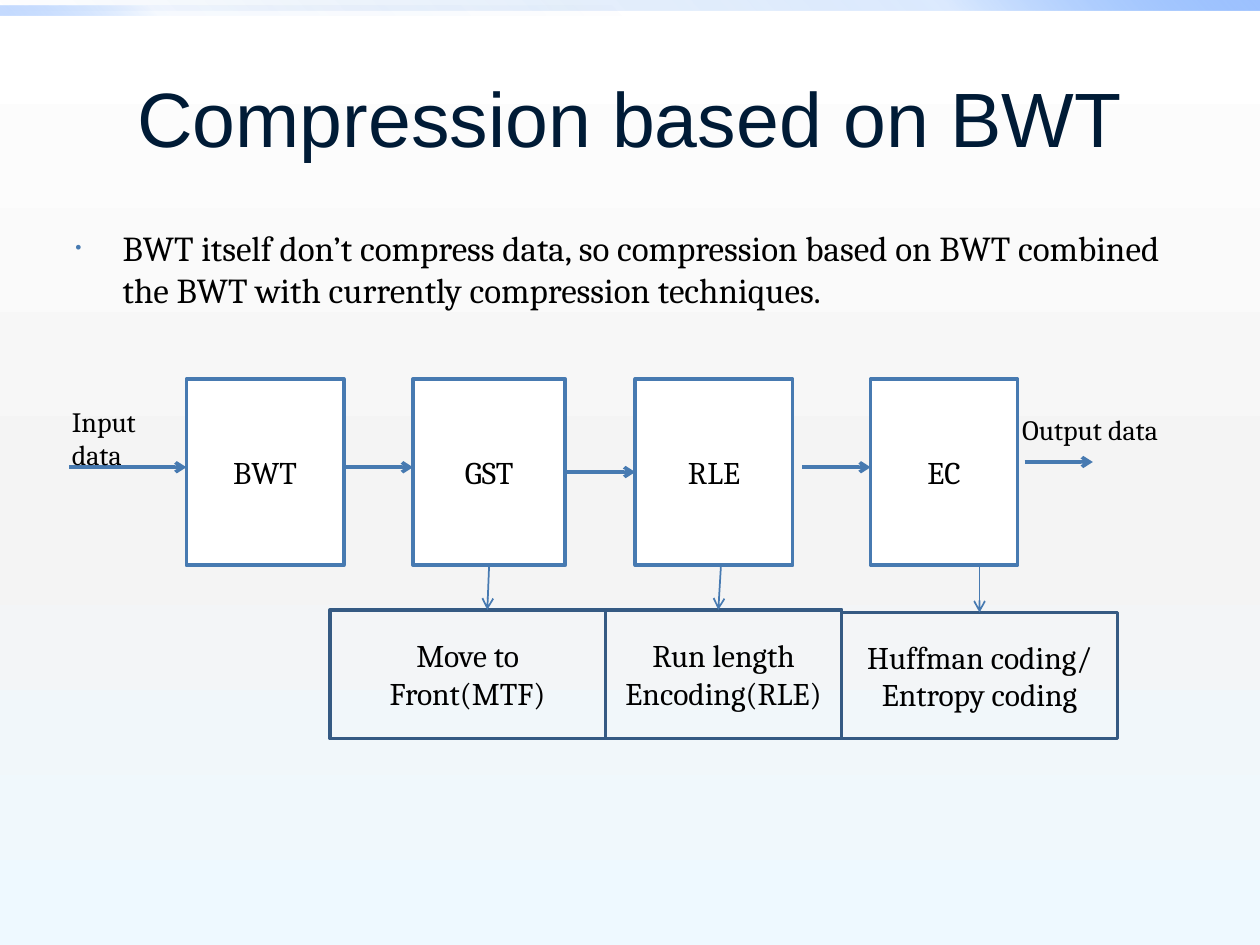
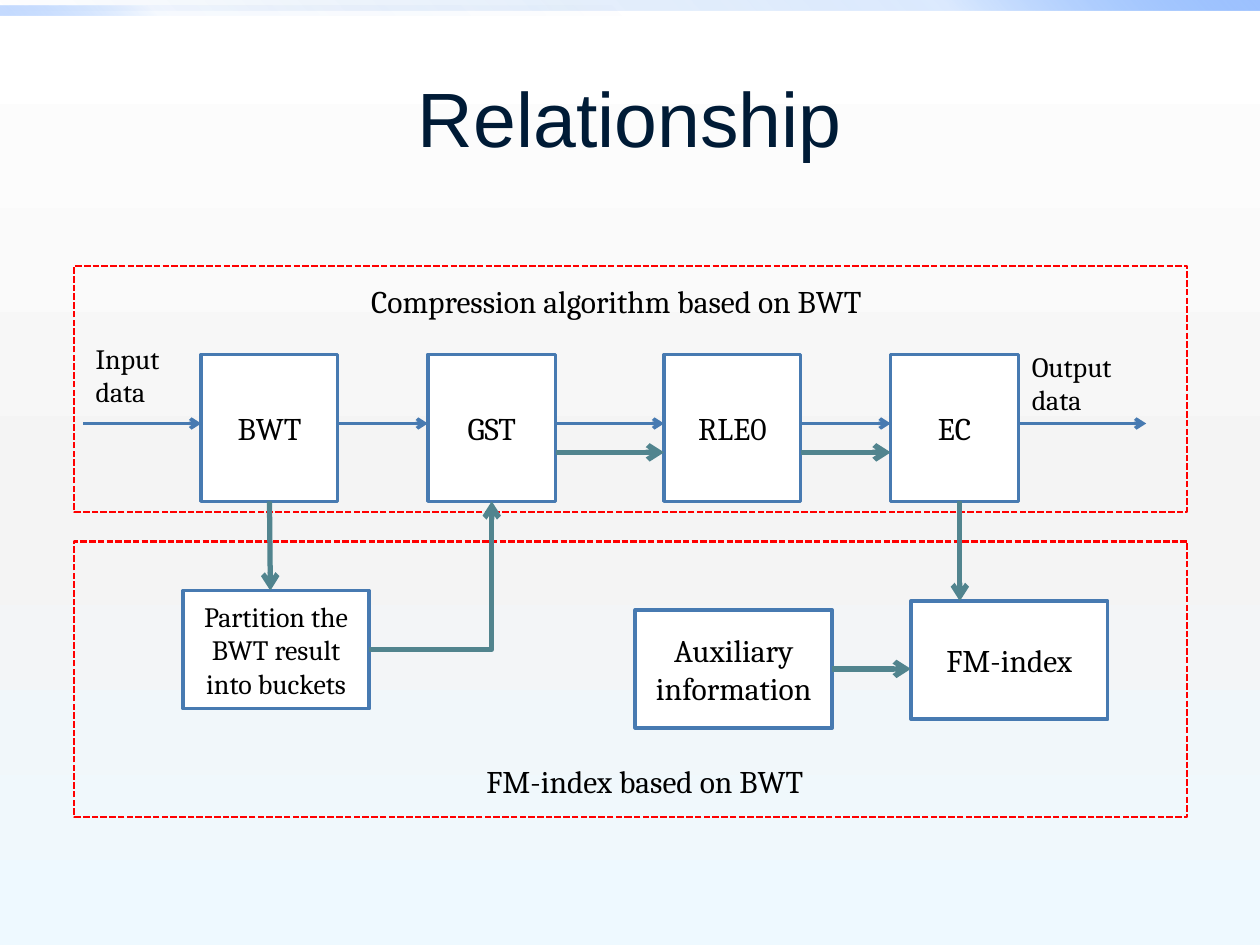
from collections import namedtuple

from lxml import etree
from pptx import Presentation
from pptx.dml.color import RGBColor
from pptx.enum.dml import MSO_LINE
from pptx.enum.shapes import MSO_CONNECTOR, MSO_SHAPE
from pptx.enum.text import MSO_ANCHOR, PP_ALIGN
from pptx.oxml.ns import qn
from pptx.util import Pt

RECTANGLE = MSO_SHAPE.RECTANGLE
STRAIGHT, ELBOW = MSO_CONNECTOR.STRAIGHT, MSO_CONNECTOR.ELBOW
SYS_DASH = MSO_LINE.SQUARE_DOT
LEFT, CENTER = PP_ALIGN.LEFT, PP_ALIGN.CENTER
TOP, MIDDLE = MSO_ANCHOR.TOP, MSO_ANCHOR.MIDDLE
TOP_SIDE, LEFT_SIDE, BOTTOM_SIDE, RIGHT_SIDE = range(4)

COLORS = {
    "title": "001B36",
    "text": "000000",
    "box": "FFFFFF",
    "blue": "477AB1",
    "navy": "355A83",
    "teal": "51848E",
    "frame": "FF0000",
}
# Gradient stops: position %, colour, opacity %
BACKGROUND = [(0, "FFFFFF", 100), (55, "F4F4F4", 100), (100, "EEF9FF", 100)]
TOP_BAND = [(0, "0058B7", 0), (75, "4F95FF", 20), (100, "9EC2FF", 100)]
LEFT_BAND = [(0, "0058B7", 0), (75, "4F95FF", 5), (100, "9EC2FF", 60)]

Box = namedtuple("Box", "left top width height")


def within(area, left, top, width, height):
    """Turn offsets inside an area into a box on the slide."""
    return Box(area.left + left, area.top + top, width, height)


def points(values):
    return [Pt(value) for value in values]


def rgb(name):
    return RGBColor.from_string(COLORS[name])


def apply(target, formats):
    for attribute, value in formats.items():
        setattr(target, attribute, value)


def set_gradient(parent, stops, angle):
    """Replace the default stops of the first gradient below parent."""
    gradient = next(parent.iter(qn("a:gradFill")))
    for child in list(gradient):
        gradient.remove(child)
    stop_list = etree.SubElement(gradient, qn("a:gsLst"))
    for position, color, opacity in stops:
        stop = etree.SubElement(stop_list, qn("a:gs"), pos=str(position * 1000))
        tone = etree.SubElement(stop, qn("a:srgbClr"), val=color)
        if opacity < 100:
            etree.SubElement(tone, qn("a:alpha"), val=str(opacity * 1000))
    etree.SubElement(gradient, qn("a:lin"), ang=str(angle * 60000), scaled="0")


def write(frame, lines, size, align=LEFT, anchor=TOP, font="Cambria", color="text"):
    apply(frame, {"word_wrap": True, "vertical_anchor": anchor})
    for index, line in enumerate(lines.split("\n")):
        paragraph = frame.add_paragraph() if index else frame.paragraphs[0]
        paragraph.alignment = align
        run = paragraph.add_run()
        run.text = line
        apply(run.font, {"size": Pt(size), "name": font})
        run.font.color.rgb = rgb(color)


def add_label(slide, box, text, size=18, **style):
    label = slide.shapes.add_textbox(*points(box))
    write(label.text_frame, text, size, **style)
    return label


def add_rectangle(slide, box, line=None, width=2, fill=None):
    rectangle = slide.shapes.add_shape(RECTANGLE, *points(box))
    rectangle.shadow.inherit = False
    if fill:
        rectangle.fill.solid()
        rectangle.fill.fore_color.rgb = rgb(fill)
    else:
        rectangle.fill.background()
    if line:
        rectangle.line.color.rgb = rgb(line)
        rectangle.line.width = Pt(width)
    else:
        rectangle.line.fill.background()
    return rectangle


def add_step(slide, box, text, size=18, line="blue", fill="box"):
    step = add_rectangle(slide, box, line, fill=fill)
    write(step.text_frame, text, size, CENTER, MIDDLE)
    return step


def add_frame(slide, box):
    add_rectangle(slide, box, "frame", 1.25).line.dash_style = SYS_DASH


def add_arrow(slide, start, end, color="blue", width=2, begin=None, finish=None,
              kind=STRAIGHT):
    """Draw an arrow; begin and finish are (shape, side) pairs to join."""
    arrow = slide.shapes.add_connector(kind, *points((*start, *end)))
    if begin:
        arrow.begin_connect(*begin)
    if finish:
        arrow.end_connect(*finish)
    arrow.line.color.rgb = rgb(color)
    arrow.line.width = Pt(width)
    etree.SubElement(arrow.line._get_or_add_ln(), qn("a:tailEnd"), type="arrow")
    etree.SubElement(arrow._element.spPr, qn("a:effectLst"))
    return arrow


def new_slide(deck, title):
    """Add a slide with the shared background, bands and title."""
    slide = deck.slides.add_slide(deck.slide_layouts[6])
    slide.background.fill.gradient()
    set_gradient(slide.element, BACKGROUND, 90)
    for box, stops, angle in (
        (Box(0, 0, 720, 6), TOP_BAND, 315),
        (Box(0, 3, 360, 6), LEFT_BAND, 135),
    ):
        band = add_rectangle(slide, box)
        band.fill.gradient()
        set_gradient(band._element, stops, angle)
    add_label(slide, Box(36, 22, 648, 89.5), title, 44, align=CENTER,
              anchor=MIDDLE, font="Arial", color="title")
    return slide


def add_bullet(slide, box, text):
    bullet = add_label(slide, box, text, 20)
    properties = bullet.text_frame.paragraphs[0]._p.get_or_add_pPr()
    apply_indent = {"marL": Pt(27), "indent": -Pt(27)}
    for name, value in apply_indent.items():
        properties.set(name, str(int(value)))
    color = etree.SubElement(properties, qn("a:buClr"))
    etree.SubElement(color, qn("a:srgbClr"), val=COLORS["blue"])
    etree.SubElement(properties, qn("a:buSzPct"), val="50000")
    etree.SubElement(properties, qn("a:buFont"), typeface="Arial")
    etree.SubElement(properties, qn("a:buChar"), char="•")


def add_stages(slide, area, stages):
    """Place (name, offset, width) steps side by side over the area's height."""
    return [
        add_step(slide, within(area, offset, 0, width, area.height), name)
        for name, offset, width in stages
    ]


def compression_chain(slide, area):
    stages = add_stages(slide, area, [
        ("BWT", 67, 90), ("GST", 196.5, 87), ("RLE", 323.5, 90), ("EC", 458, 84),
    ])
    gst, rle = stages[1:3]
    for start, end, drop in (
        (0, 67, 50.5), (157, 196.5, 50.5), (419, 458, 50.5), (546, 585, 47.5),
    ):
        y = area.top + drop
        add_arrow(slide, (area.left + start, y), (area.left + end, y))
    middle = area.top + area.height / 2
    add_arrow(slide, (area.left + 283.5, middle), (area.left + 323.5, middle),
              begin=(gst, RIGHT_SIDE), finish=(rle, LEFT_SIDE))
    add_label(slide, within(area, -5.5, 11, 67.5, 46), "Input data", 16)
    add_label(slide, within(area, 537.5, 15.5, 112.5, 26.5), "Output data", 16)
    return stages


def stage_techniques(slide, area, stages):
    """Name the technique below each stage and point to it."""
    gst = stages[1]
    techniques = [
        add_step(slide, within(area, offset, drop, width, area.height - drop), text,
                 line="navy", fill=None)
        for text, offset, width, drop in (
            ("Move to Front(MTF)", 0, 157.5, 0),
            ("Run length Encoding(RLE)", 157.5, 135, 0),
            ("Huffman coding/\nEntropy coding", 292.5, 157.5, 1.5),
        )
    ]
    huffman = techniques[-1]
    for start, end, drop, joins in (
        (91.5, 90, 0, {"begin": (gst, BOTTOM_SIDE)}),
        (223.5, 222, 0, {}),
        (371.25, 371.25, 1.5, {"finish": (huffman, TOP_SIDE)}),
    ):
        add_arrow(slide, (area.left + start, area.top - 25.5),
                  (area.left + end, area.top + drop), width=1, **joins)


def compression_panel(slide, area):
    spans = [("BWT", 72.5, 78), ("GST", 202, 73), ("RLE0", 337, 78), ("EC", 466.5, 73)]
    stages = add_stages(slide, within(area, 0, 50.5, area.width, 84), spans)
    add_frame(slide, area)
    add_label(slide, within(area, 162.5, 5.5, 340.5, 29),
              "Compression algorithm based on BWT")

    starts = [5] + [offset + width for _, offset, width in spans]
    ends = [offset for _, offset, _ in spans] + [612.5]
    gaps = list(zip(starts, ends))
    for row, drop, color, width in (
        (gaps, 90, "blue", 2), (gaps[2:4], 106.5, "teal", 3),
    ):
        for start, end in row:
            y = area.top + drop
            add_arrow(slide, (area.left + start, y), (area.left + end, y), color, width)
    add_label(slide, within(area, 5, 39.5, 67.5, 46), "Input data", 16)
    add_label(slide, within(area, 540, 44, 78.5, 46), "Output data", 16)
    return stages


def index_panel(slide, area, stages):
    """Build the index steps and link them with the compression stages."""
    bwt, gst, _, ec = stages
    partition = add_step(slide, within(area, 62, 28, 106.5, 67.5),
                         "Partition the BWT result into buckets", 16)
    auxiliary = add_step(slide, within(area, 320.5, 39, 112.5, 67.5),
                         "Auxiliary information")
    add_step(slide, within(area, 478, 34, 112.5, 67.5), "FM-index")
    add_frame(slide, area)
    add_label(slide, within(area, 174, 122.5, 304, 29), "FM-index based on BWT",
              align=CENTER)

    def link(start, end, **joins):
        ends = [(area.left + x, area.top + y) for x, y in (start, end)]
        return add_arrow(slide, *ends, "teal", 3, **joins)

    link((111.5, -23), (112, 28), begin=(bwt, BOTTOM_SIDE))
    link((506, -23), (506, 34))
    link((433, 72.75), (478, 72.75), begin=(auxiliary, RIGHT_SIDE))
    corner = link((168.5, 61.75), (238.5, -23), begin=(partition, RIGHT_SIDE),
                  finish=(gst, BOTTOM_SIDE), kind=ELBOW)
    corner._element.spPr.find(qn("a:prstGeom")).set("prst", "bentConnector2")


def build_compression_slide(deck):
    slide = new_slide(deck, "Compression based on BWT")
    add_bullet(slide, Box(36, 126, 648, 356.5),
               "BWT itself don’t compress data, so compression based on BWT combined "
               "the BWT with currently compression techniques.")
    stages = compression_chain(slide, Box(39.5, 216.5, 585, 106.5))
    stage_techniques(slide, Box(188.5, 348.5, 450, 73.5), stages)


def build_relationship_slide(deck):
    slide = new_slide(deck, "Relationship")
    stages = compression_panel(slide, Box(42.5, 152, 636, 140.5))
    index_panel(slide, Box(42.5, 309.5, 636, 157.5), stages)


def main():
    deck = Presentation()
    apply(deck, {"slide_width": Pt(720), "slide_height": Pt(540)})
    build_compression_slide(deck)
    build_relationship_slide(deck)
    deck.save("out.pptx")


if __name__ == "__main__":
    main()
